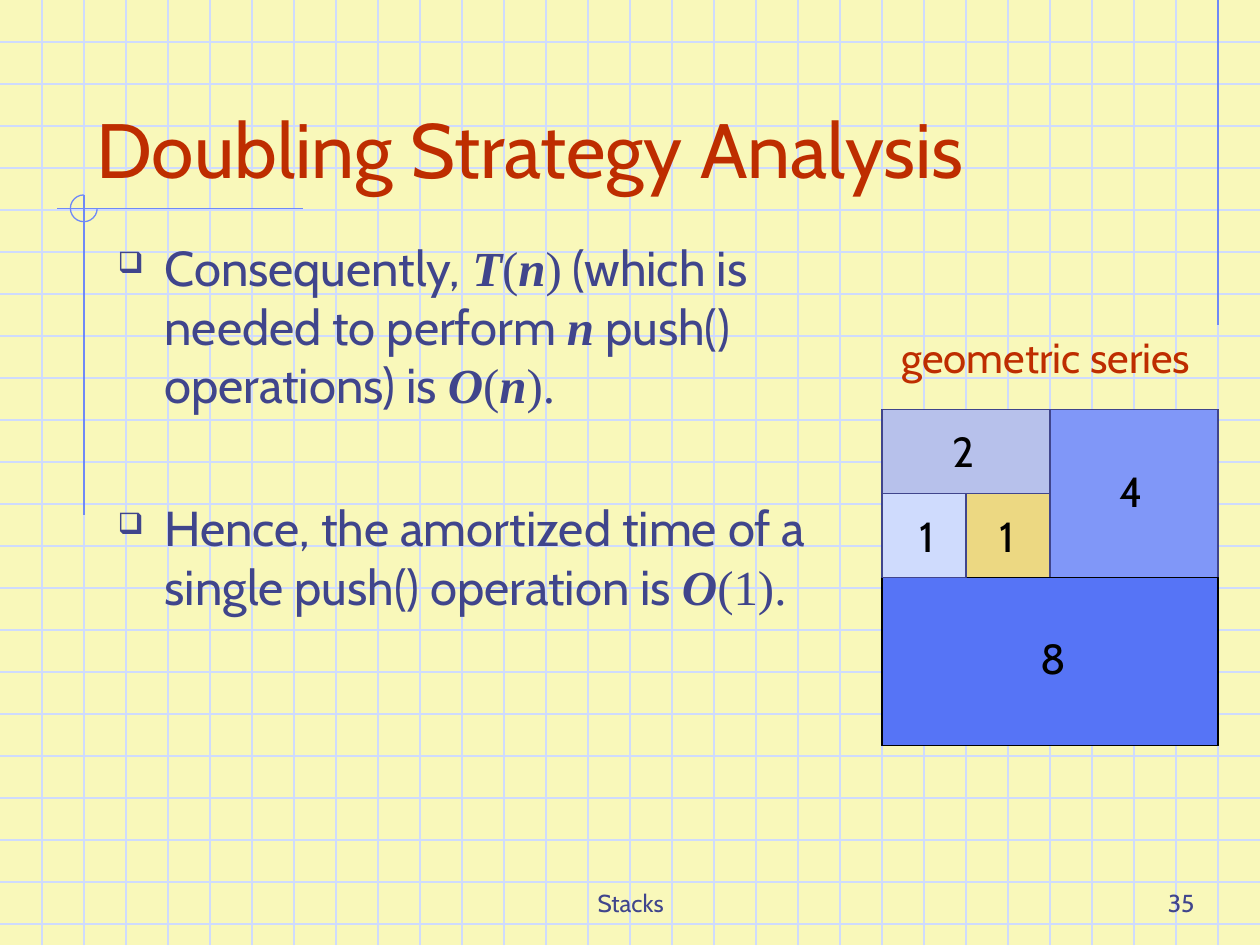
"""Build the slide on amortized analysis of the doubling strategy."""
from lxml.etree import SubElement
from pptx import Presentation
from pptx.dml.color import RGBColor
from pptx.enum.shapes import MSO_CONNECTOR, MSO_SHAPE
from pptx.enum.text import MSO_ANCHOR, PP_ALIGN
from pptx.oxml.ns import qn
from pptx.util import Cm, Pt

WIDTH, HEIGHT = 25.4, 19.05
CELL = WIDTH / 30
INK, RED, BLACK = "40458C", "BE2D00", "000000"
GRID, ACCENT = "CFDBFD", "6F89F7"
SANS, SERIF = "Cabin", "Times New Roman"
hex_color = RGBColor.from_string

deck = Presentation()
deck.slide_width, deck.slide_height = Cm(WIDTH), Cm(HEIGHT)
slide = deck.slides.add_slide(deck.slide_layouts[6])
slide.background.fill.solid()
slide.background.fill.fore_color.rgb = hex_color("F9F8BA")


def add_rule(x1, y1, x2, y2, color):
    rule = slide.shapes.add_connector(
        MSO_CONNECTOR.STRAIGHT, Cm(x1), Cm(y1), Cm(x2), Cm(y2))
    rule.line.color.rgb = hex_color(color)
    rule.line.width = Pt(0.75)
    SubElement(rule._element.spPr, qn("a:effectLst"))


def add_text(left, top, width, height, text, size, color,
             align=PP_ALIGN.LEFT, anchor=MSO_ANCHOR.TOP, wrap=True):
    frame = slide.shapes.add_textbox(
        Cm(left), Cm(top), Cm(width), Cm(height)).text_frame
    frame.word_wrap = wrap
    frame.vertical_anchor = anchor
    paragraph = frame.paragraphs[0]
    paragraph.alignment = align
    run = paragraph.add_run()
    run.text = text
    run.font.size = Pt(size)
    run.font.name = SANS
    run.font.color.rgb = hex_color(color)


for row in range(1, 23):
    add_rule(0, row * CELL, WIDTH, row * CELL, GRID)
for column in range(1, 30):
    add_rule(column * CELL, 0, column * CELL, HEIGHT, GRID)

add_rule(29 * CELL, 0, 29 * CELL, 6.55, ACCENT)
add_rule(6.1, 4.21, 1.14, 4.21, ACCENT)
add_rule(2 * CELL, 3.93, 2 * CELL, 10.39, ACCENT)
ring = slide.shapes.add_shape(
    MSO_SHAPE.ARC, Cm(1.42), Cm(3.93), Cm(0.54), Cm(0.54))
ring.adjustments[0] = 0
ring.adjustments[1] = 162
ring.shadow.inherit = False
ring.fill.background()
ring.line.color.rgb = hex_color(ACCENT)
ring.line.width = Pt(0.75)

add_text(8.69, 17.35, 8.05, 1.27, "Stacks", 14, INK,
         PP_ALIGN.CENTER, MSO_ANCHOR.BOTTOM)
add_text(19.05, 17.35, 5.28, 1.27, "35", 14, INK,
         PP_ALIGN.RIGHT, MSO_ANCHOR.BOTTOM)
add_text(1.69, 0.85, 21.59, 3.18, "Doubling Strategy Analysis", 44, RED,
         anchor=MSO_ANCHOR.BOTTOM)

conclusions = [
    [("Consequently,", SANS, False), (" T", SERIF, True), ("(", SERIF, False),
     ("n", SERIF, True), (")", SERIF, False),
     (" (which is needed to perform ", SANS, False), ("n", SERIF, True),
     (" push() operations) is ", SANS, False), ("O", SERIF, True),
     ("(", SERIF, False), ("n", SERIF, True), (").", SERIF, False)],
    [("Hence, the amortized time of a single push() operation is ", SANS, False),
     ("O", SERIF, True), ("(1).", SERIF, False)],
]
body = slide.shapes.add_textbox(
    Cm(2.12), Cm(4.66), Cm(15.45), Cm(12.7)).text_frame
body.word_wrap = True
for index, pieces in enumerate(conclusions):
    conclusion = body.add_paragraph() if index else body.paragraphs[0]
    properties = conclusion._p.get_or_add_pPr()
    properties.set("marL", str(Cm(0.95)))
    properties.set("indent", str(-Cm(0.95)))
    bullet_color = SubElement(properties, qn("a:buClr"))
    SubElement(bullet_color, qn("a:srgbClr"), val=INK)
    SubElement(properties, qn("a:buSzPct"), val="60000")
    SubElement(properties, qn("a:buChar"), char="❑")
    conclusion.space_before = Pt(48 if index else 0)
    for text, typeface, is_symbol in pieces:
        run = conclusion.add_run()
        run.text = text
        run.font.size = Pt(28)
        run.font.name = typeface
        run.font.bold = run.font.italic = is_symbol
        run.font.color.rgb = hex_color(INK)

series_left, series_top = 21 * CELL, 9.75 * CELL
for column, row, columns, rows, fill, edge in [
    (0, 0, 8, 8, "ECD882", BLACK),
    (4, 0, 4, 4, "8097F8", INK),
    (0, 4, 8, 4, "5674F6", BLACK),
    (0, 0, 4, 2, "B7C1EB", INK),
    (0, 2, 2, 2, "CFDBFD", INK),
]:
    term = slide.shapes.add_shape(
        MSO_SHAPE.RECTANGLE,
        Cm(series_left + column * CELL), Cm(series_top + row * CELL),
        Cm(columns * CELL), Cm(rows * CELL))
    term.shadow.inherit = False
    term.fill.solid()
    term.fill.fore_color.rgb = hex_color(fill)
    term.line.color.rgb = hex_color(edge)
    term.line.width = Pt(0.75)

add_text(17.53, 6.56, 7.11, 1.27, "geometric series", 24, RED,
         PP_ALIGN.CENTER, wrap=False)
for size, left, top in [("1", 18.19, 10.16), ("2", 18.92, 8.46),
                        ("1", 19.79, 10.16), ("4", 22.3, 9.25),
                        ("8", 20.73, 12.62)]:
    add_text(left, top, 1, 1.27, size, 24, BLACK, PP_ALIGN.CENTER, wrap=False)

deck.save("out.pptx")
